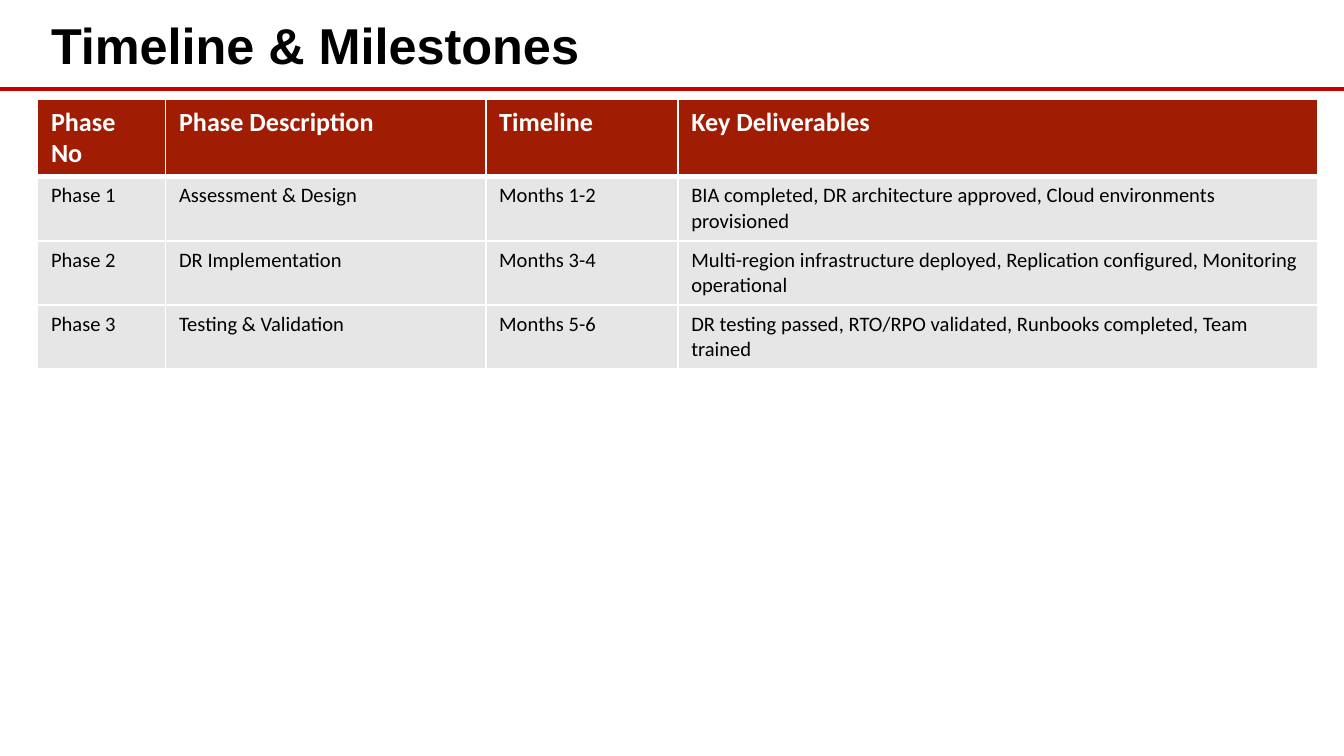
from lxml import etree
from pptx import Presentation, util as u
from pptx.dml.color import RGBColor
from pptx.enum import shapes, text
from pptx.oxml.ns import qn

WHITE, BLACK, RED, RUST, GREY = "FFFFFF", "000000", "CC0000", "A01C02", "E7E6E6"
LEFT, WIDTH = 0.71, 24.2
COLUMN_SHARES = (0.10, 0.25, 0.15, 0.50)
PHASES = [
    ("Phase No", "Phase Description", "Timeline", "Key Deliverables"),
    ("Phase 1", "Assessment & Design", "Months 1-2",
     "BIA completed, DR architecture approved, Cloud environments provisioned"),
    ("Phase 2", "DR Implementation", "Months 3-4",
     "Multi-region infrastructure deployed, Replication configured, "
     "Monitoring operational"),
    ("Phase 3", "Testing & Validation", "Months 5-6",
     "DR testing passed, RTO/RPO validated, Runbooks completed, Team trained"),
]


def rgb(value):
    return RGBColor.from_string(value)


def add_run(p, words, font, size, color, bold=False):
    r = p.add_run()
    r.text = words
    r.font.name, r.font.size, r.font.bold = font, u.Pt(size), bold
    r.font.color.rgb = rgb(color)


def set_borders(cell, color, **widths):
    """Draw the cell's L, R, T and B borders, with widths in points."""
    tc_pr = cell._tc.get_or_add_tcPr()
    for side in "LRTB":
        ln = etree.SubElement(tc_pr, qn(f"a:ln{side}"),
                              w=str(u.Pt(widths.get(side, 1))))
        fill = etree.SubElement(ln, qn("a:solidFill"))
        etree.SubElement(fill, qn("a:srgbClr"), val=color)


def place_title(s, x, y, w, h):
    title = s.shapes.title
    title.left, title.top, title.width, title.height = map(u.Cm, (x, y, w, h))
    tf = title.text_frame
    tf.word_wrap = True
    tf.auto_size = text.MSO_AUTO_SIZE.NONE
    tf.vertical_anchor = text.MSO_ANCHOR.MIDDLE
    p = tf.paragraphs[0]
    p.alignment = text.PP_ALIGN.LEFT
    p.space_before = u.Pt(0)
    add_run(p, "Timeline & Milestones", "Arial", 27, BLACK, bold=True)


def add_rule(s, x, y, w):
    rule = s.shapes.add_connector(shapes.MSO_CONNECTOR.STRAIGHT,
                                  u.Cm(x), u.Cm(y), u.Cm(x + w), u.Cm(y))
    rule.line.color.rgb = rgb(RED)
    rule.line.width = u.Pt(2.25)
    etree.SubElement(rule._element.spPr, qn("a:effectLst"))


def add_phase_table(s, x, y, w, h):
    table = s.shapes.add_table(len(PHASES), len(COLUMN_SHARES),
                               u.Cm(x), u.Cm(y), u.Cm(w), u.Cm(h)).table
    table.horz_banding = False
    for column, share in zip(table.columns, COLUMN_SHARES):
        column.width = u.Cm(w * share)
    for i, phase in enumerate(PHASES):
        header = i == 0
        for j, words in enumerate(phase):
            cell = table.cell(i, j)
            set_borders(cell, WHITE, T=3 if i == 1 else 1, B=3 if header else 1)
            cell.fill.solid()
            cell.fill.fore_color.rgb = rgb(RUST if header else GREY)
            add_run(cell.text_frame.paragraphs[0], words, "Calibri",
                    14 if header else 11, WHITE if header else BLACK, header)


def main():
    prs = Presentation()
    prs.slide_width, prs.slide_height = u.Cm(25.4), u.Cm(14.29)
    s = prs.slides.add_slide(prs.slide_layouts[5])
    add_rule(s, 0, 1.68, 25.4)
    place_title(s, LEFT, 0.1, WIDTH, 1.47)
    add_phase_table(s, LEFT, 1.88, WIDTH, 4.12)
    prs.save("out.pptx")


if __name__ == "__main__":
    main()
